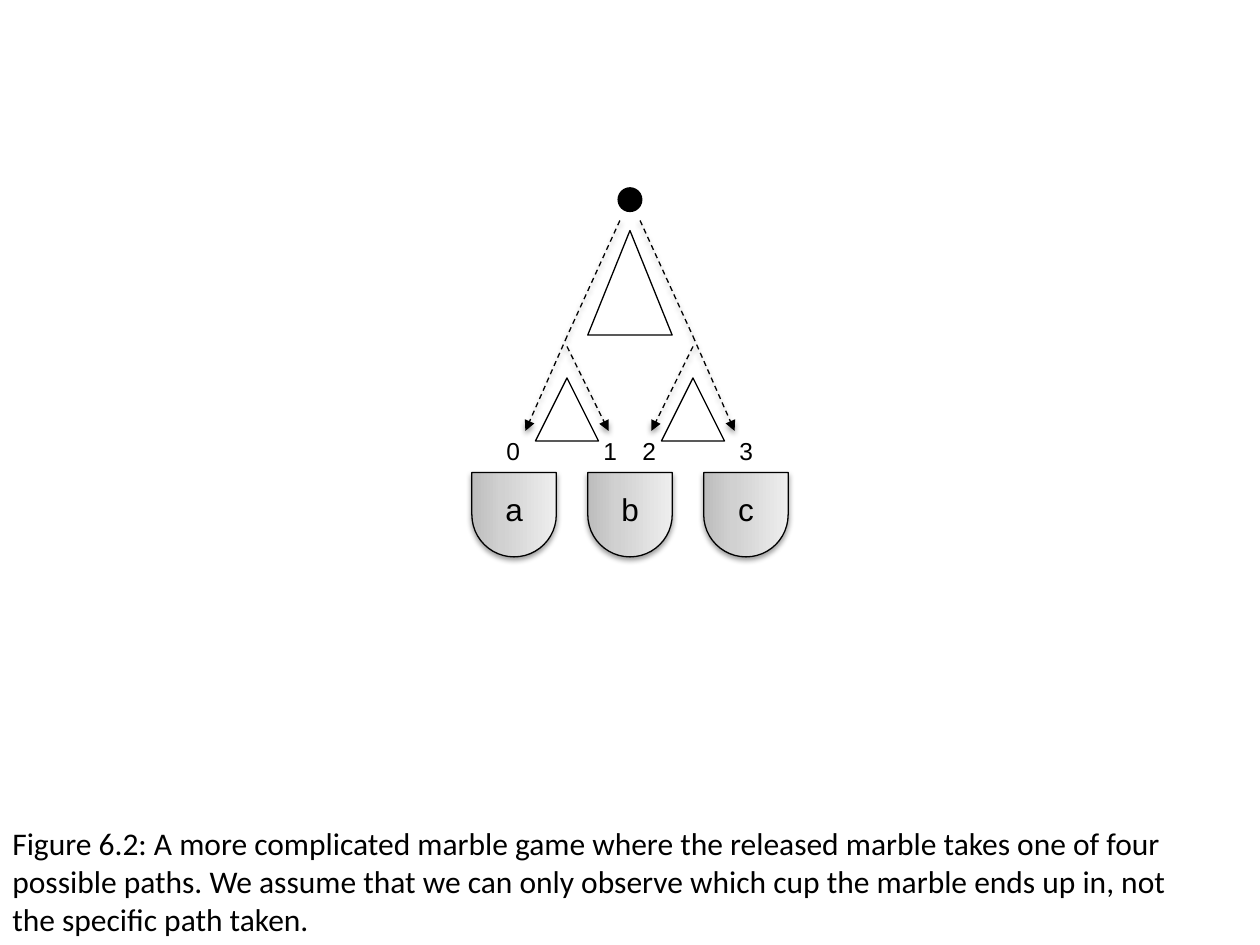
from dataclasses import dataclass

from lxml import etree
from pptx import Presentation
from pptx.dml.color import RGBColor
from pptx.enum.dml import MSO_LINE
from pptx.enum.shapes import MSO_CONNECTOR, MSO_SHAPE
from pptx.enum.text import MSO_ANCHOR, MSO_AUTO_SIZE, PP_ALIGN
from pptx.oxml import parse_xml
from pptx.oxml.ns import nsdecls, qn
from pptx.util import Inches, Pt

DASH = MSO_LINE.DASH
STRAIGHT = MSO_CONNECTOR.STRAIGHT
OVAL = MSO_SHAPE.OVAL
TRIANGLE = MSO_SHAPE.ISOSCELES_TRIANGLE
CUP = MSO_SHAPE.FLOWCHART_DELAY
MIDDLE = MSO_ANCHOR.MIDDLE
FIT_SHAPE = MSO_AUTO_SIZE.SHAPE_TO_FIT_TEXT
CENTER = PP_ALIGN.CENTER

CENTER_X = 5
CUP_SIZE = 0.67
CUP_PITCH = 0.92
CAPTION = [
    "Figure 6.2: A more complicated marble game where the released marble takes one of four",
    "possible paths. We assume that we can only observe which cup the marble ends up in, not",
    "the specific path taken.",
]


@dataclass(frozen=True)
class Theme:
    ink: RGBColor = RGBColor(0, 0, 0)
    cup_stops: tuple = ((0, "BDBDBD"), (35, "D1D1D1"), (100, "EEEEEE"))
    thin: Pt = Pt(0.75)
    thick: Pt = Pt(2)
    diagram_font: str = "Arial"
    caption_font: str = "Calibri"
    large: Pt = Pt(18)
    small: Pt = Pt(14)


class MarbleSlide:
    """Draws the marble game on one slide in one style."""

    def __init__(self, slide, theme):
        self.slide = slide
        self.theme = theme
        self.diagram = slide.shapes.add_group_shape().shapes

    def apply(self, target, values):
        for name, value in values.items():
            setattr(target, name, value)

    def outline(self, line, width):
        line.color.rgb = self.theme.ink
        line.width = width

    def fill_text(self, frame, lines, size, font, align=None):
        for index, text in enumerate(lines):
            paragraph = frame.paragraphs[0] if index == 0 else frame.add_paragraph()
            paragraph.alignment = align
            run = paragraph.add_run()
            run.text = text
            self.apply(run.font, {"size": size, "name": font})
            run.font.color.rgb = self.theme.ink

    def cast_shadow(self, properties):
        properties.append(parse_xml(
            f'<a:effectLst {nsdecls("a")}><a:outerShdw blurRad="40000" dist="20000" '
            'dir="5400000" rotWithShape="0"><a:srgbClr val="000000">'
            '<a:alpha val="38000"/></a:srgbClr></a:outerShdw></a:effectLst>'))

    def shape(self, kind, left, top, width, height):
        return self.diagram.add_shape(
            kind, Inches(left), Inches(top), Inches(width), Inches(height))

    def marble(self, center_x, top, size):
        shape = self.shape(OVAL, center_x - size / 2, top, size, size)
        shape.shadow.inherit = False
        shape.fill.solid()
        shape.fill.fore_color.rgb = self.theme.ink
        self.outline(shape.line, self.theme.thick)

    def peg(self, center_x, top, width, height):
        shape = self.shape(TRIANGLE, center_x - width / 2, top, width, height)
        shape.shadow.inherit = False
        shape.fill.background()
        self.outline(shape.line, self.theme.thin)

    def cup(self, center_x, top, text):
        shape = self.shape(CUP, center_x - CUP_SIZE / 2, top, CUP_SIZE, CUP_SIZE)
        shape.rotation = 90
        stops = "".join(
            f'<a:gs pos="{position * 1000}"><a:srgbClr val="{color}"/></a:gs>'
            for position, color in self.theme.cup_stops)
        properties = shape.element.spPr
        properties.find(qn("a:prstGeom")).addnext(parse_xml(
            f'<a:gradFill {nsdecls("a")} rotWithShape="1"><a:gsLst>{stops}</a:gsLst>'
            '<a:lin ang="16200000" scaled="0"/></a:gradFill>'))
        self.outline(shape.line, self.theme.thin)
        self.cast_shadow(properties)
        shape.text_frame.vertical_anchor = MIDDLE
        shape.element.txBody.bodyPr.set("vert", "vert270")
        self.fill_text(shape.text_frame, [text], self.theme.large,
                       self.theme.diagram_font, CENTER)

    def path_line(self, start, end, arrow=True):
        points = [Inches(value) for value in (*start, *end)]
        connector = self.diagram.add_connector(STRAIGHT, *points)
        self.outline(connector.line, self.theme.thin)
        connector.line.dash_style = DASH
        properties = connector.element.spPr
        if arrow:
            line = properties.find(qn("a:ln"))
            etree.SubElement(line, qn("a:tailEnd"), type="triangle")
        self.cast_shadow(properties)

    def text_box(self, shapes, box, lines, size, font):
        shape = shapes.add_textbox(*(Inches(value) for value in box))
        self.apply(shape.text_frame, {"word_wrap": False, "auto_size": FIT_SHAPE})
        self.fill_text(shape.text_frame, lines, size, font)

    def label(self, left, top, text):
        self.text_box(self.diagram, (left, top, 0.31, 0.34), [text],
                      self.theme.small, self.theme.diagram_font)

    def caption(self, box, lines):
        self.text_box(self.slide.shapes, box, lines,
                      self.theme.large, self.theme.caption_font)


def main():
    presentation = Presentation()
    presentation.slide_width = Inches(10)
    presentation.slide_height = Inches(7.5)
    slide = presentation.slides.add_slide(presentation.slide_layouts[6])
    game = MarbleSlide(slide, Theme())

    game.marble(CENTER_X, 1.5, 0.17)
    game.peg(CENTER_X, 1.83, 0.67, 0.83)
    for step, name in zip((-1, 0, 1), "abc"):
        game.cup(CENTER_X + step * CUP_PITCH, 3.75, name)
    for side in (-1, 1):
        fork_x = CENTER_X + side * 0.5
        fork = (fork_x, 2.67)
        game.peg(fork_x, 3, 0.5, 0.5)
        game.path_line((CENTER_X + side * 0.08, 1.75), fork, arrow=False)
        game.path_line(fork, (fork_x + side * 0.33, 3.42))
        game.path_line((fork_x, 2.75), (fork_x - side * 0.33, 3.42))
    for number, left in enumerate((3.92, 4.69, 5, 5.77)):
        game.label(left, 3.41, str(number))
    game.caption((0, 6.49, 9.47, 1.01), CAPTION)

    presentation.save("out.pptx")


if __name__ == "__main__":
    main()
